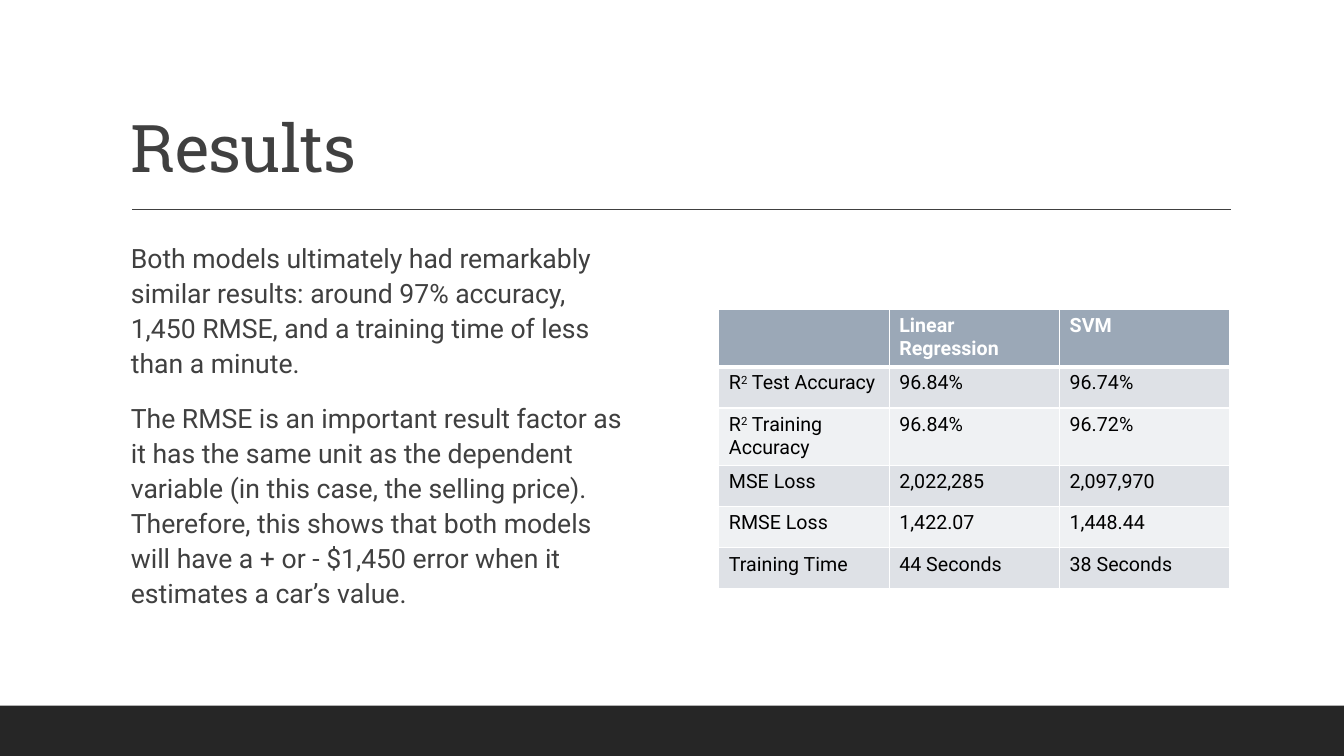
from dataclasses import dataclass

from lxml.etree import SubElement
from pptx import Presentation
from pptx.dml.color import RGBColor as Rgb
from pptx.enum.shapes import MSO_CONNECTOR as Link, MSO_SHAPE as Kind
from pptx.enum.text import MSO_ANCHOR as Anchor
from pptx.oxml import parse_xml
from pptx.oxml.ns import nsdecls, qn
from pptx.util import Inches, Pt

COLORS = {
    "white": "FFFFFF", "black": "000000", "ink": "404040", "bar": "262626",
    "head": "9BA8B7", "odd": "DEE1E6", "even": "EFF1F3",
}
BODY = [
    "Both models ultimately had remarkably similar results: around 97% accuracy, "
    "1,450 RMSE, and a training time of less than a minute.",
    "The RMSE is an important result factor as it has the same unit as the dependent "
    "variable (in this case, the selling price). Therefore, this shows that both models "
    "will have a + or - $1,450 error when it estimates a car’s value.",
]


@dataclass
class Row:
    label: str
    linear: str
    svm: str


ROWS = [
    Row("", "Linear Regression", "SVM"),
    Row("R^2^ Test Accuracy", "96.84%", "96.74%"),
    Row("R^2^ Training Accuracy", "96.84%", "96.72%"),
    Row("MSE Loss", "2,022,285", "2,097,970"),
    Row("RMSE Loss", "1,422.07", "1,448.44"),
    Row("Training Time", "44 Seconds", "38 Seconds"),
]


def color(name: str) -> Rgb:
    return Rgb.from_string(COLORS[name])


def write(frame, *paras: str, size: float = 14, font: str = "Roboto", ink: str = "ink",
          bold: bool = False, track: float = 0, line: float = 1,
          before: float = 0, after: float = 0) -> None:
    """Fill a text frame; text between carets is raised."""
    frame.word_wrap = True
    for i, text in enumerate(paras):
        para = frame.add_paragraph() if i else frame.paragraphs[0]
        para.line_spacing = line
        para.space_before, para.space_after = Pt(before), Pt(after)
        para.font.size = Pt(size)
        for j, part in enumerate(text.split("^")):
            if not part:
                continue
            run = para.add_run()
            run.text = part
            run.font.name, run.font.size, run.font.bold = font, Pt(size), bold
            run.font.color.rgb = color(ink)
            props = run._r.get_or_add_rPr()
            if track:
                props.set("spc", str(int(track * 100)))
            if j % 2:
                props.set("baseline", "30000")


def add_box(slide, left: float, top: float, width: float, height: float):
    box = slide.shapes.add_textbox(Inches(left), Inches(top), Inches(width), Inches(height))
    return box.text_frame


def edge(cell, top: float, base: float) -> None:
    """Draw white borders, with the given top and bottom widths in points."""
    props = cell._tc.get_or_add_tcPr()
    sides = {"L": 1, "R": 1, "T": top, "B": base}
    for i, (side, width) in enumerate(sides.items()):
        props.insert(i, parse_xml(
            f'<a:ln{side} {nsdecls("a")} w="{Pt(width)}"><a:solidFill>'
            f'<a:srgbClr val="{COLORS["white"]}"/></a:solidFill></a:ln{side}>'))


def add_scores(slide) -> None:
    table = slide.shapes.add_table(
        len(ROWS), 3, Inches(7.13), Inches(3.07), Inches(5.07), Inches(2.46)).table
    for col in table.columns:
        col.width = Inches(1.69)
    for i, row in enumerate(ROWS):
        table.rows[i].height = Inches(0.41)
        for j, text in enumerate((row.label, row.linear, row.svm)):
            cell = table.cell(i, j)
            cell.fill.solid()
            shade = "odd" if i % 2 else "even"
            cell.fill.fore_color.rgb = color(shade if i else "head")
            edge(cell, 3 if i == 1 else 1, 1 if i else 3)
            write(cell.text_frame, text, ink="black" if i else "white", bold=not i)


def add_frame(slide) -> None:
    """Add the bottom bar and the rule below the title."""
    bar = slide.shapes.add_shape(
        Kind.RECTANGLE, Inches(0), Inches(7), Inches(13.33), Inches(0.5))
    bar.shadow.inherit = False
    bar.fill.solid()
    bar.fill.fore_color.rgb = color("bar")
    bar.line.fill.background()
    rule = slide.shapes.add_connector(
        Link.STRAIGHT, Inches(1.31), Inches(2.08), Inches(12.21), Inches(2.08))
    rule.line.color.rgb = color("ink")
    rule.line.width = Pt(1)
    SubElement(rule._element.spPr, qn("a:effectLst"))


def main() -> None:
    deck = Presentation()
    deck.slide_width, deck.slide_height = Inches(13.33), Inches(7.5)
    slide = deck.slides.add_slide(deck.slide_layouts[6])
    add_frame(slide)
    title = add_box(slide, 1.2, 0.31, 11, 1.59)
    title.vertical_anchor = Anchor.BOTTOM
    write(title, "Results", size=47, font="Roboto Slab", track=-0.5, line=0.9)
    body = add_box(slide, 1.2, 2.32, 5.07, 4.1)
    body.margin_left, body.margin_right = Inches(0.1), Inches(0)
    write(body, *BODY, size=19, line=1.1, before=12, after=2)
    add_scores(slide)
    deck.save("out.pptx")


if __name__ == "__main__":
    main()
